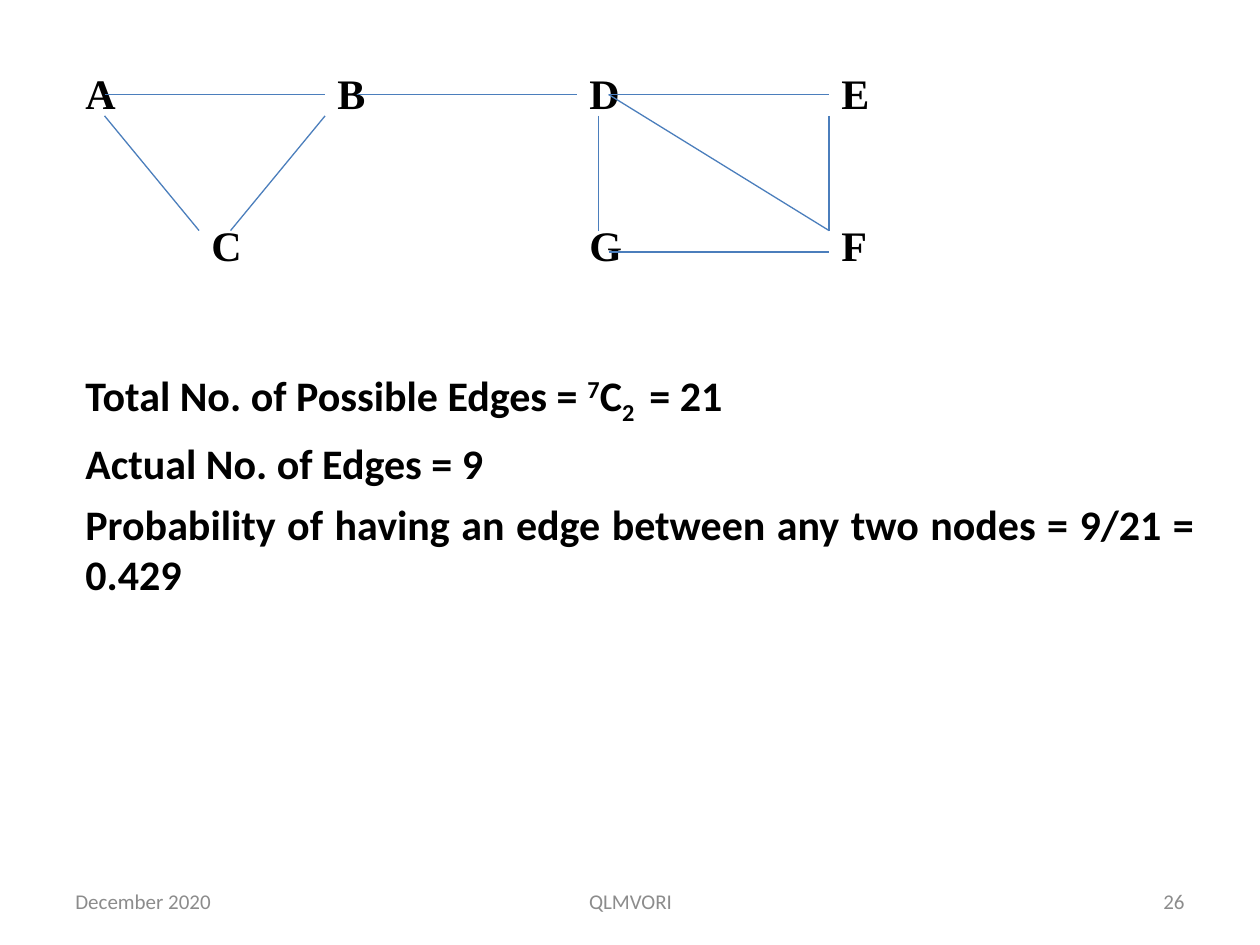
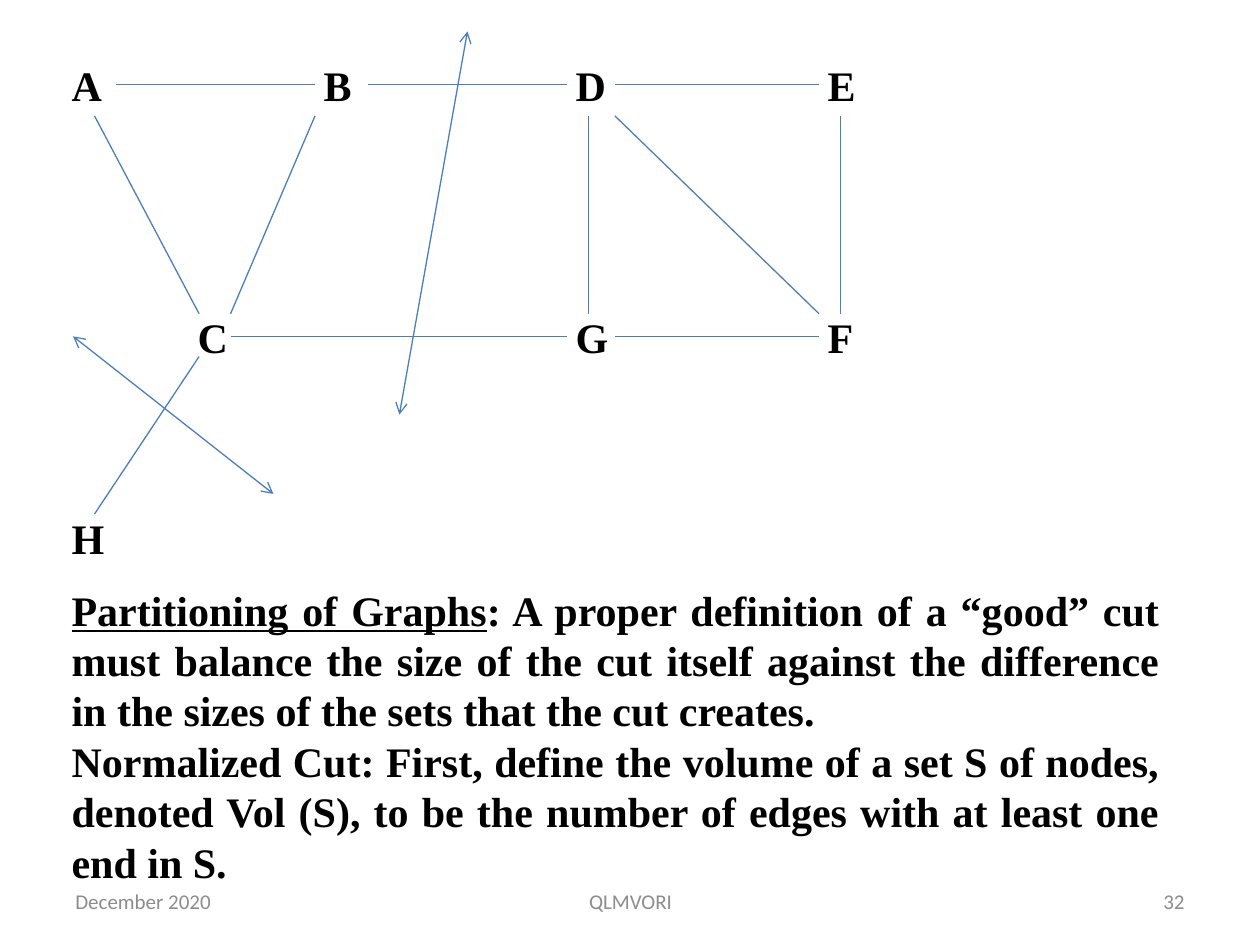
from lxml import etree
from pptx import Presentation
from pptx.dml.color import RGBColor
from pptx.enum.shapes import MSO_CONNECTOR
from pptx.enum.text import MSO_ANCHOR, PP_ALIGN
from pptx.oxml.ns import qn
from pptx.util import Inches, Pt

LEFT, CENTER, RIGHT, JUSTIFY = PP_ALIGN.LEFT, PP_ALIGN.CENTER, PP_ALIGN.RIGHT, PP_ALIGN.JUSTIFY
TOP, MIDDLE = MSO_ANCHOR.TOP, MSO_ANCHOR.MIDDLE
STRAIGHT = MSO_CONNECTOR.STRAIGHT

BLACK = RGBColor(0x00, 0x00, 0x00)
GRAY = RGBColor(0x8C, 0x8C, 0x8C)
EDGE_BLUE = RGBColor(0x4B, 0x7E, 0xBC)
SERIF, SANS = "Times New Roman", "Calibri"
LINE_HEIGHT = 28.8
NODE_TABS = range(1, 7)

FOOTER_TOP, FOOTER_HEIGHT = 6.95, 0.4
DATE, VENUE = "December 2020", "QLMVORI"

TOP_NODES = "A\t\tB\t\tD\t\tE"
LOWER_NODES = "\tC\t\t\tG\t\tF"

SLIDES = [
    {
        "number": "26",
        "box": (0.58, 0.49, 9, 5.12),
        "paragraphs": [
            {"runs": [(TOP_NODES, {})], "tabs": NODE_TABS},
            {"runs": [(LOWER_NODES, {})], "tabs": NODE_TABS, "skipped_lines": 2},
            {"runs": [("Total No. of Possible Edges = ", {"font": SANS}),
                      ("7", {"font": SANS, "baseline": 30}),
                      ("C", {"font": SANS}),
                      ("2 ", {"font": SANS, "baseline": -25}),
                      (" = 21", {"font": SANS})],
             "skipped_lines": 2, "before": 3.4, "after": 6},
            {"runs": [("Actual No. of Edges = 9", {"font": SANS})], "after": 6},
            {"runs": [("Probability of having an edge between any two nodes = 9/21 = 0.429",
                       {"font": SANS})], "align": JUSTIFY},
        ],
        "edges": {
            "AB": (0.83, 0.75, 2.58, 0.75),
            "BD": (2.83, 0.75, 4.58, 0.75),
            "DE": (4.83, 0.75, 6.58, 0.75),
            "AC": (0.83, 0.92, 1.58, 1.83),
            "BC": (2.58, 0.92, 1.83, 1.83),
            "DG": (4.75, 0.92, 4.75, 1.83),
            "EF": (6.58, 0.92, 6.58, 1.83),
            "GF": (4.83, 2, 6.58, 2),
            "DF": (4.83, 0.75, 6.58, 1.83),
        },
        "cuts": [],
    },
    {
        "number": "32",
        "box": (0.47, 0.42, 8.83, 6.73),
        "paragraphs": [
            {"runs": [(TOP_NODES, {})], "tabs": NODE_TABS},
            {"runs": [(LOWER_NODES, {})], "tabs": NODE_TABS, "skipped_lines": 4},
            {"runs": [("H", {})], "skipped_lines": 3, "after": 12},
            {"runs": [("Partitioning of Graphs", {"underline": True}),
                      (": A proper definition of a “good” cut must balance the size of the cut "
                       "itself against the difference in the sizes of the sets that the cut "
                       "creates.", {})], "align": JUSTIFY},
            {"runs": [("Normalized Cut: First, define the volume of a set S of nodes, denoted "
                       "Vol (S), to be the number of edges with at least one end in S.", {})],
             "align": JUSTIFY},
        ],
        "edges": {
            "AB": (0.92, 0.67, 2.5, 0.67),
            "BD": (2.92, 0.67, 4.5, 0.67),
            "DE": (4.88, 0.67, 6.5, 0.67),
            "DG": (4.67, 0.92, 4.67, 2.49),
            "EF": (6.67, 0.92, 6.67, 2.49),
            "GF": (4.88, 2.67, 6.5, 2.67),
            "DF": (4.88, 0.92, 6.5, 2.49),
            "AC": (0.75, 0.92, 1.58, 2.49),
            "BC": (2.5, 0.92, 1.83, 2.49),
            "CG": (1.83, 2.67, 4.5, 2.67),
            "CH": (1.58, 2.83, 0.75, 4.08),
        },
        "cuts": [(0.58, 2.67, 2.17, 3.92), (3.71, 0.25, 3.17, 3.29)],
    },
]


def set_tabs(paragraph, stops):
    tab_list = etree.SubElement(paragraph._p.get_or_add_pPr(), qn("a:tabLst"))
    for stop in stops:
        etree.SubElement(tab_list, qn("a:tab"), pos=str(Inches(stop)), algn="l")


def add_text(slide, box, paragraphs, size=24, font=SERIF, color=BLACK, bold=False,
             anchor=TOP, line_height=None):
    frame = slide.shapes.add_textbox(*map(Inches, box)).text_frame
    frame.word_wrap = True
    frame.vertical_anchor = anchor
    for index, content in enumerate(paragraphs):
        paragraph = frame.add_paragraph() if index else frame.paragraphs[0]
        paragraph.alignment = content.get("align", LEFT)
        skipped = content.get("skipped_lines", 0) * LINE_HEIGHT
        paragraph.space_before = Pt(skipped + content.get("before", 0))
        paragraph.space_after = Pt(content.get("after", 0))
        if line_height:
            paragraph.line_spacing = Pt(line_height)
        if "tabs" in content:
            set_tabs(paragraph, content["tabs"])
        for words, style in content["runs"]:
            run = paragraph.add_run()
            run.text = words
            run.font.size = Pt(size)
            run.font.name = style.get("font", font)
            run.font.bold = bold
            run.font.underline = style.get("underline", False)
            run.font.color.rgb = color
            if "baseline" in style:
                run.font._element.set("baseline", str(style["baseline"] * 1000))


def add_line(slide, ends, arrows=False):
    line = slide.shapes.add_connector(STRAIGHT, *map(Inches, ends))
    line.line.color.rgb = EDGE_BLUE
    line.line.width = Pt(0.75)
    if arrows:
        outline = line.line._get_or_add_ln()
        for end in ("a:headEnd", "a:tailEnd"):
            etree.SubElement(outline, qn(end), type="arrow")
    etree.SubElement(line._element.spPr, qn("a:effectLst"))


def add_footer(slide, number):
    for words, left, width, align in (
        (DATE, 0.5, 2.33, LEFT),
        (VENUE, 3.42, 3.17, CENTER),
        (number, 7.17, 2.33, RIGHT),
    ):
        add_text(slide, (left, FOOTER_TOP, width, FOOTER_HEIGHT),
                 [{"runs": [(words, {})], "align": align}],
                 size=12, font=SANS, color=GRAY, anchor=MIDDLE)


def main():
    deck = Presentation()
    deck.slide_width, deck.slide_height = Inches(10), Inches(7.5)
    for content in SLIDES:
        slide = deck.slides.add_slide(deck.slide_layouts[6])
        add_footer(slide, content["number"])
        add_text(slide, content["box"], content["paragraphs"], bold=True,
                 line_height=LINE_HEIGHT)
        for ends in content["edges"].values():
            add_line(slide, ends)
        for ends in content["cuts"]:
            add_line(slide, ends, arrows=True)
    deck.save("out.pptx")


if __name__ == "__main__":
    main()
